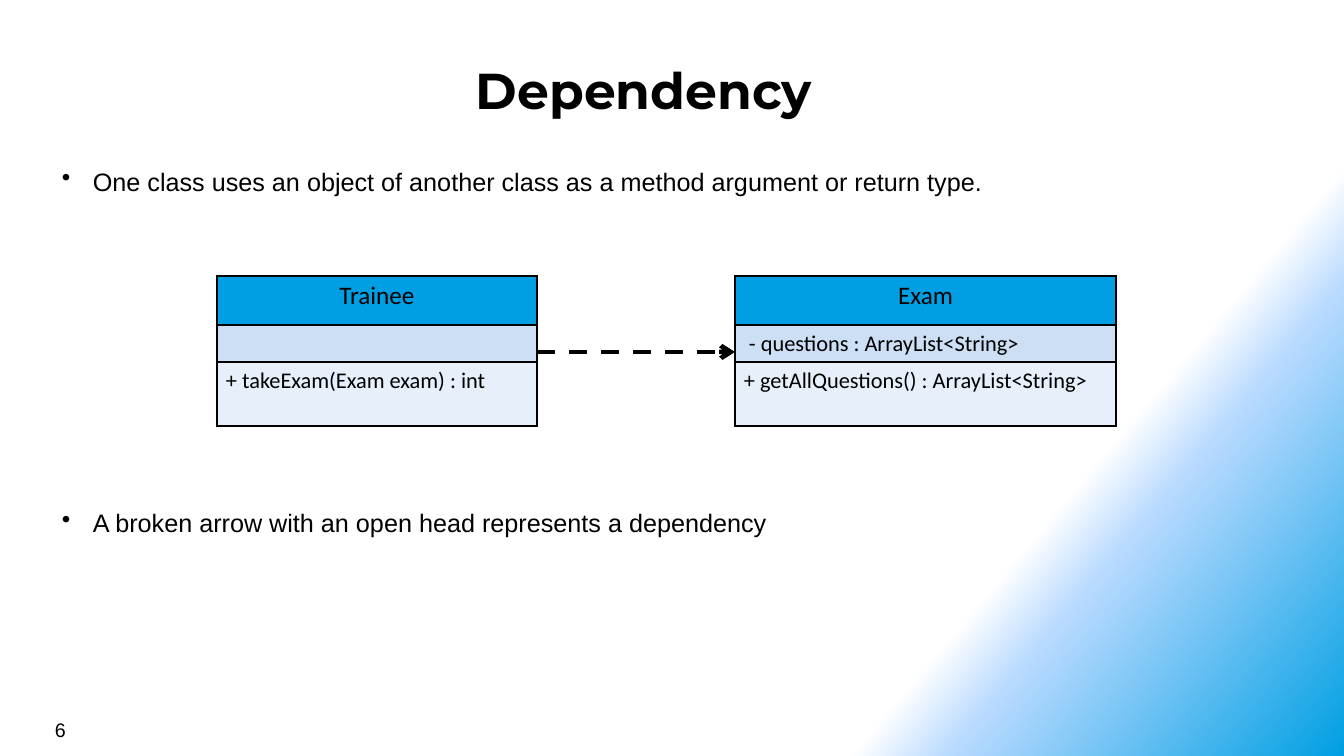
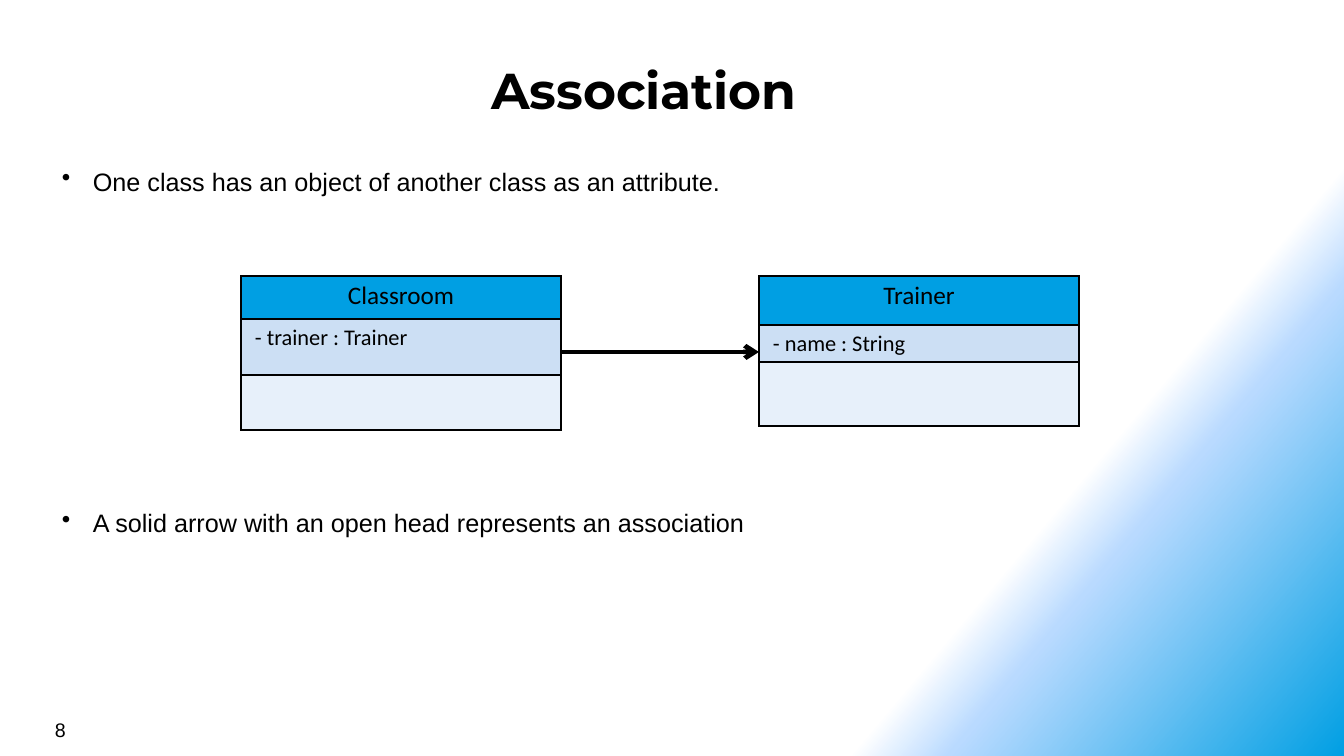
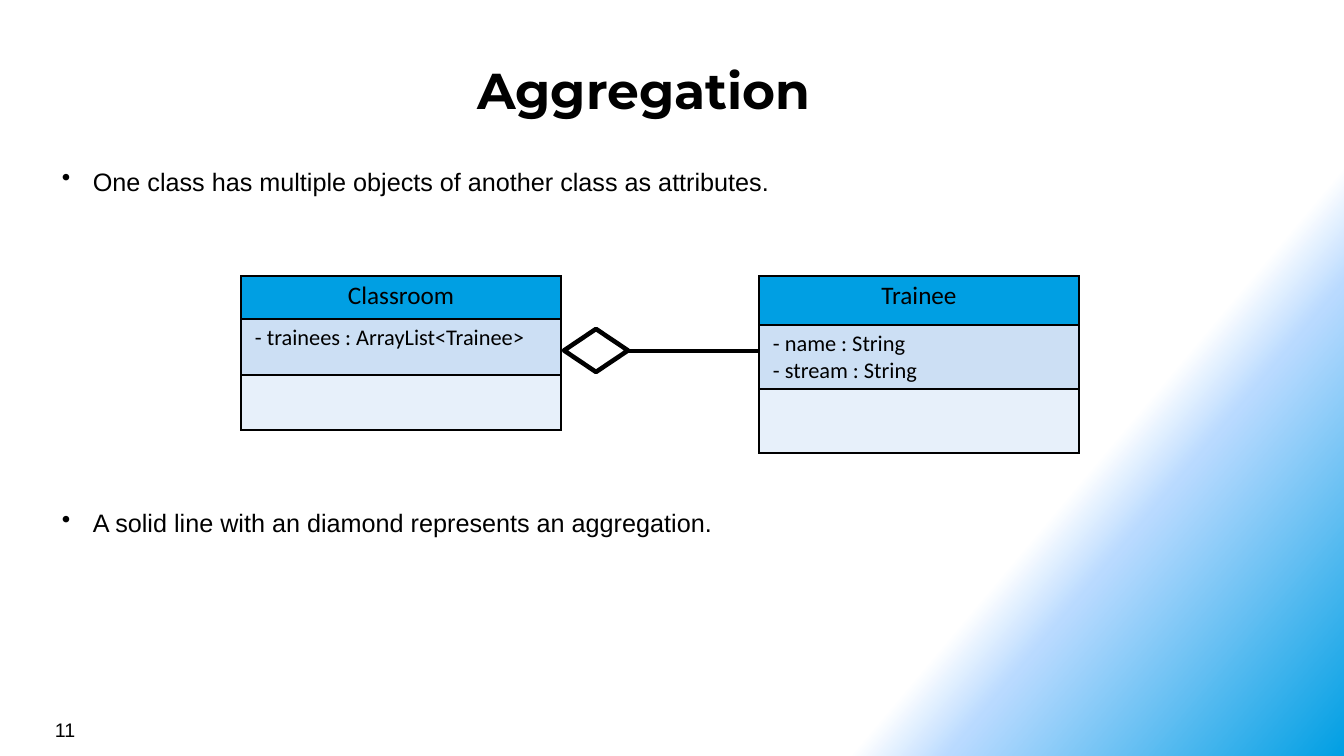
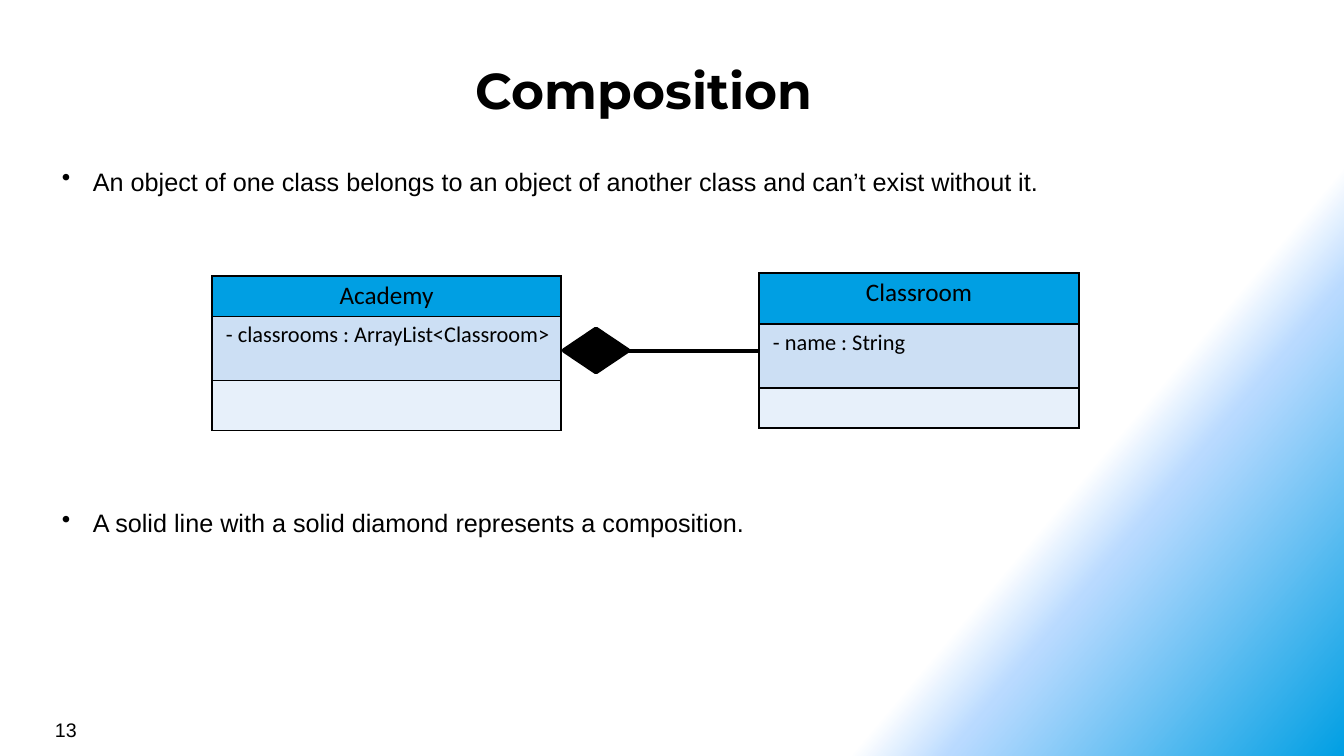
from copy import deepcopy

from lxml import etree
from pptx import Presentation
from pptx.dml.color import RGBColor
from pptx.enum import dml, shapes, text
from pptx.oxml import ns
from pptx.util import Pt

SCALE = 914400 / 100.8
COLORS = {
    "ink": "000000",
    "header": "009FE3",
    "attributes": "CCDFF4",
    "methods": "E7F0FA",
    "white": "FFFFFF",
    "pale": "B9DAFF",
}
BACKDROP = [(0.75, "white"), (0.80, "pale"), (1.0, "header")]
SLIDE_SIZE = (1344, 756)
TITLE_BOX = (26, 51, 1236, 55)
NUMBER_BOX = (45, 713, 314, 33)
DEFINITION_BOX = (52, 161, 1008, 40)
NOTATION_BOX = (52, 502, 770, 40)
LINK_GAP = 198
LINK_WIDTH = 3.25


def px(*lengths):
    """Turn pixel lengths into a list of EMU."""
    return [round(length * SCALE) for length in lengths]


def color(name):
    """Return the named colour."""
    return RGBColor.from_string(COLORS[name])


def add_xml(parent, tag, **attributes):
    """Append a child element such as a:ln and return it."""
    return etree.SubElement(parent, ns.qn(tag), attributes)


def style_font(paragraph, name, size, bold=False):
    """Give a paragraph its typeface, size and weight in the ink colour."""
    font = paragraph.font
    font.name, font.size, font.bold = name, Pt(size), bold
    font.color.rgb = color("ink")


def paint_background(presentation):
    """Give the master the diagonal gradient that all slides share."""
    master = presentation.slide_master
    fill = master.background.fill
    fill.gradient()
    fill.gradient_angle = 320
    stops = master.element.find(".//" + ns.qn("a:gsLst"))
    stops.append(deepcopy(stops[0]))
    for stop, (position, name) in zip(fill.gradient_stops, BACKDROP):
        stop.position = position
        stop.color.rgb = color(name)


def add_text(slide, box, content, name, size, bold=False):
    """Add a wrapped one-paragraph text box; return its frame and paragraph."""
    frame = slide.shapes.add_textbox(*px(*box)).text_frame
    frame.word_wrap = True
    paragraph = frame.paragraphs[0]
    paragraph.text = content
    style_font(paragraph, name, size, bold)
    return frame, paragraph


def add_title(slide, box, content):
    """Add the centred slide title."""
    frame, paragraph = add_text(slide, box, content, "Montserrat", 36, True)
    frame.margin_left = frame.margin_right = px(8)[0]
    frame.margin_top = frame.margin_bottom = px(8)[0]
    paragraph.alignment = text.PP_ALIGN.CENTER


def add_bullet(slide, box, content):
    """Add one bulleted statement with a hanging indent."""
    _, paragraph = add_text(slide, box, content, "Arial", 18)
    indent = px(31)[0]
    properties = paragraph._p.get_or_add_pPr()
    properties.set("marL", str(indent))
    properties.set("indent", str(-indent))
    bullet = etree.Element(ns.qn("a:buChar"), char="•")
    properties.insert(0, bullet)


def add_borders(cell):
    """Draw a thin line on all four sides of a cell."""
    properties = cell._tc.get_or_add_tcPr()
    for side in ("L", "R", "T", "B"):
        line = add_xml(properties, "a:ln" + side, w=str(Pt(1)))
        fill = add_xml(line, "a:solidFill")
        add_xml(fill, "a:srgbClr", val=COLORS["ink"])


def add_class(slide, box, heights, name, attributes="", methods=""):
    """Draw a class as a table of name, attributes and methods."""
    left, top, width = box
    frame = slide.shapes.add_table(3, 1, *px(left, top, width, sum(heights)))
    table = frame.table
    table.first_row = table.horz_banding = False
    rows = [
        ("header", name, 18, 9),
        ("attributes", attributes, 16, 14),
        ("methods", methods, 16, 9),
    ]
    for index, (fill, content, size, margin) in enumerate(rows):
        table.rows[index].height = px(heights[index])[0]
        cell = table.cell(index, 0)
        add_borders(cell)
        cell.fill.solid()
        cell.fill.fore_color.rgb = color(fill)
        cell.margin_left, cell.margin_right = px(margin, 9)
        cell.margin_top = cell.margin_bottom = px(5 if content else 0)[0]
        cell.text = content
        for paragraph in cell.text_frame.paragraphs:
            style_font(paragraph, "Calibri", size)
            if fill == "header":
                paragraph.alignment = text.PP_ALIGN.CENTER


def add_line(slide, left, right, y, dashed=False, arrow=False):
    """Draw a horizontal link, dashed or with an open head if asked."""
    connector = slide.shapes.add_connector(
        shapes.MSO_CONNECTOR.STRAIGHT, *px(left, y, right, y))
    connector.line.color.rgb = color("ink")
    connector.line.width = Pt(LINK_WIDTH)
    if dashed:
        connector.line.dash_style = dml.MSO_LINE.DASH
    if arrow:
        add_xml(connector.get_or_add_ln(), "a:tailEnd", type="arrow")
    add_xml(connector.element.find(ns.qn("p:spPr")), "a:effectLst")


def add_diamond(slide, box, solid):
    """Draw the diamond at the owner's end of a link."""
    diamond = slide.shapes.add_shape(shapes.MSO_SHAPE.DIAMOND, *px(*box))
    diamond.shadow.inherit = False
    if solid:
        diamond.fill.solid()
        diamond.fill.fore_color.rgb = color("ink")
    else:
        diamond.fill.background()
    diamond.line.color.rgb = color("ink")
    diamond.line.width = Pt(LINK_WIDTH)


def add_link(slide, left, right, kind):
    """Join two classes with the notation for their relationship."""
    if kind in ("dependency", "association"):
        add_line(slide, left, right, 352, kind == "dependency", True)
    else:
        add_line(slide, left + 67, right, 351)
        add_diamond(slide, (left + 3, 329, 64, 43), kind == "composition")


def add_relationship(presentation, title, number, definition, notation,
                     source, target):
    """Build a slide on one relationship; a class is (box, heights, *texts)."""
    slide = presentation.slides.add_slide(presentation.slide_layouts[6])
    add_title(slide, TITLE_BOX, title)
    add_text(slide, NUMBER_BOX, str(number), "Arial", 14)
    add_bullet(slide, DEFINITION_BOX, definition)
    add_bullet(slide, NOTATION_BOX, notation)
    (left, top, width), *source_parts = source
    (target_top, target_width), *target_parts = target
    source_right = left + width
    target_left = source_right + LINK_GAP
    add_link(slide, source_right, target_left, title.lower())
    add_class(slide, (left, top, width), *source_parts)
    add_class(slide, (target_left, target_top, target_width), *target_parts)


SHORT_ROWS = (49, 37, 64)
CLASSROOM_ROWS = (43, 56, 55)
RELATIONSHIPS = [
    ("Dependency", 6,
     "One class uses an object of another class as a method argument"
     " or return type.",
     "A broken arrow with an open head represents a dependency",
     ((217, 276, 320), SHORT_ROWS, "Trainee", "",
      "+ takeExam(Exam exam) : int"),
     ((276, 381), SHORT_ROWS, "Exam", "- questions : ArrayList<String>",
      "+ getAllQuestions() : ArrayList<String>")),
    ("Association", 8,
     "One class has an object of another class as an attribute.",
     "A solid arrow with an open head represents an association",
     ((241, 276, 320), CLASSROOM_ROWS, "Classroom", "- trainer : Trainer"),
     ((276, 320), SHORT_ROWS, "Trainer", "- name : String")),
    ("Aggregation", 11,
     "One class has multiple objects of another class as attributes.",
     "A solid line with an diamond represents an aggregation.",
     ((241, 276, 320), CLASSROOM_ROWS, "Classroom",
      "- trainees : ArrayList<Trainee>"),
     ((276, 320), (49, 64, 64), "Trainee",
      "- name : String\n- stream : String")),
    ("Composition", 13,
     "An object of one class belongs to an object of another class"
     " and can’t exist without it.",
     "A solid line with a solid diamond represents a composition.",
     ((212, 276, 349), (40, 64, 50), "Academy",
      "- classrooms : ArrayList<Classroom>"),
     ((273, 320), (51, 64, 40), "Classroom", "- name : String")),
]


def main():
    """Build and save the presentation."""
    presentation = Presentation()
    presentation.slide_width, presentation.slide_height = px(*SLIDE_SIZE)
    paint_background(presentation)
    for relationship in RELATIONSHIPS:
        add_relationship(presentation, *relationship)
    presentation.save("out.pptx")


main()
